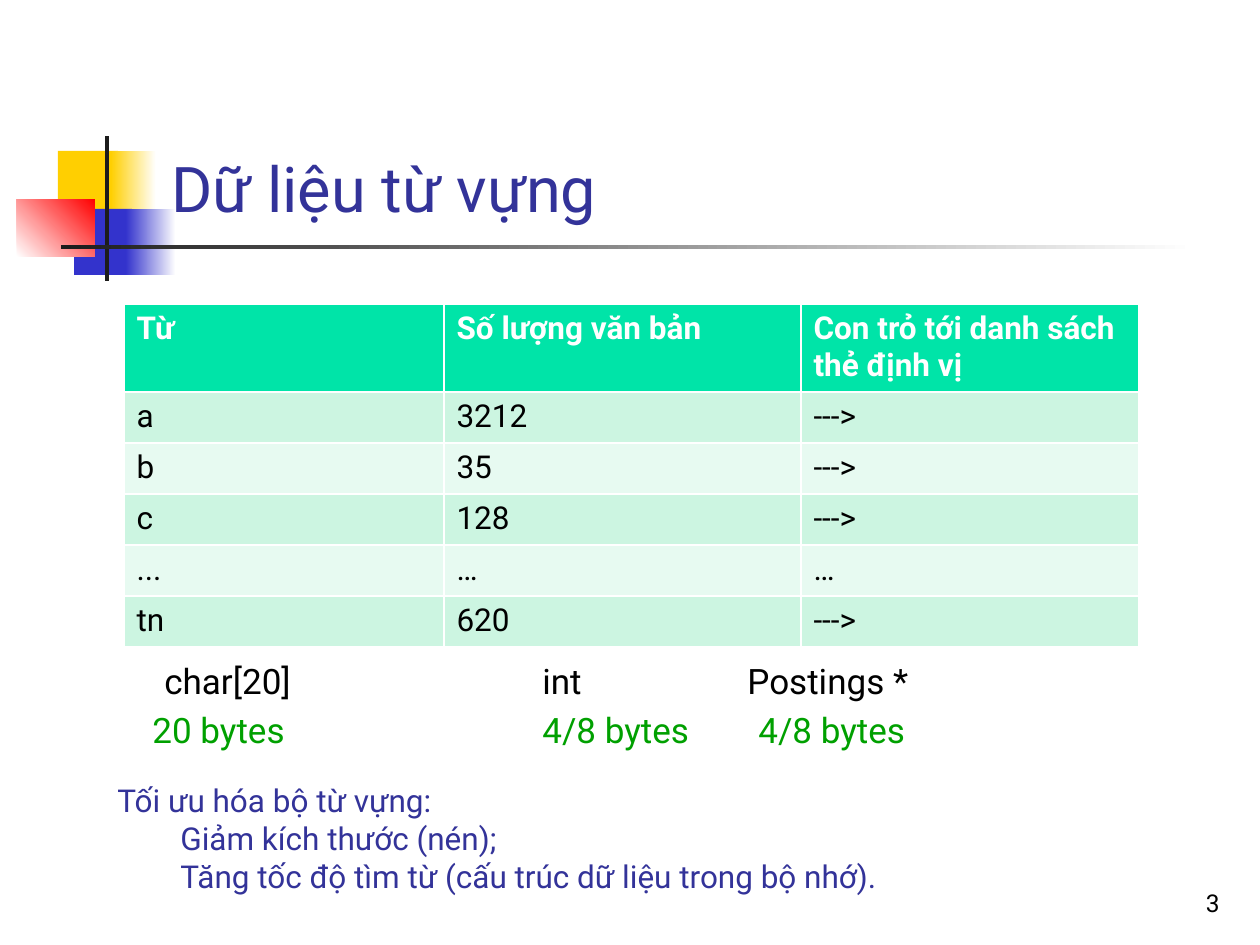
import pptx
import pptx.util
import pptx.dml.color
import pptx.enum.shapes
import pptx.enum.text
import lxml.etree

RGB = pptx.dml.color.RGBColor
WHITE = RGB(255, 255, 255)
BLACK = RGB(0, 0, 0)
GOLD = RGB(0xFF, 0xCF, 0x01)
BLUE = RGB(0x33, 0x33, 0xCC)
RED = RGB(255, 0, 0)
DARK = RGB(0x1C, 0x1C, 0x1C)
NAVY = RGB(0x33, 0x33, 0x99)
GREEN = RGB(0, 0xA0, 0)
HEAD = RGB(0, 0xE4, 0xA8)
BANDS = [RGB(0xE7, 0xFA, 0xF1), RGB(0xCC, 0xF5, 0xE1)]
TOP = pptx.enum.text.MSO_ANCHOR.TOP
LOW = pptx.enum.text.MSO_ANCHOR.BOTTOM
PIXEL = 914400 // 126


def scale(*nums):
    return [n * PIXEL for n in nums]


def write(para, text, size, color, bold=False):
    run = para.add_run()
    run.text = text
    form = {"name": "Roboto", "size": pptx.util.Pt(size), "bold": bold}
    for key, val in form.items():
        setattr(run.font, key, val)
    run.font.color.rgb = color


deck = pptx.Presentation()
deck.slide_width, deck.slide_height = scale(1260, 945)
slide = deck.slides.add_slide(deck.slide_layouts[6])

# Corner blocks and rule: box, first colour, last colour, angle
blocks = [
    ((58, 151, 60, 66), GOLD, None, 0),
    ((111, 151, 45, 66), GOLD, WHITE, 0),
    ((74, 209, 58, 66), BLUE, None, 0),
    ((126, 209, 50, 66), BLUE, WHITE, 0),
    ((17, 199, 78, 58), WHITE, RED, 45),
    ((105, 136, 4, 145), DARK, None, 0),
    ((61, 245, 1134, 4), DARK, WHITE, 0),
]
for box, first, last, angle in blocks:
    block = slide.shapes.add_shape(
        pptx.enum.shapes.MSO_SHAPE.RECTANGLE, *scale(*box))
    block.shadow.inherit = False
    block.line.fill.background()
    if last is None:
        block.fill.solid()
        block.fill.fore_color.rgb = first
    else:
        block.fill.gradient()
        block.fill.gradient_angle = angle
        for stop, color in zip(block.fill.gradient_stops, (first, last)):
            stop.color.rgb = color

# Table of terms
rows = [
    ("Từ", "Số lượng văn bản", "Con trỏ tới danh sách thẻ định vị"),
    ("a", "3212", "--->"),
    ("b", "35", "--->"),
    ("c", "128", "--->"),
    ("...", "…", "…"),
    ("tn", "620", "--->"),
]
wide = [320, 357, 338]
high = [88] + [51] * 5
table = slide.shapes.add_table(
    len(rows), len(wide), *scale(124, 304, sum(wide), sum(high))).table
for col, width in zip(table.columns, scale(*wide)):
    col.width = width
for r, (row, height) in enumerate(zip(rows, scale(*high))):
    table.rows[r].height = height
    for c, text in enumerate(row):
        cell = table.cell(r, c)
        cell.fill.solid()
        cell.fill.fore_color.rgb = BANDS[r % 2] if r else HEAD
        write(cell.text_frame.paragraphs[0], text, 18,
              BLACK if r else WHITE, r == 0)

# Text boxes: box, anchor, align, size, lines of (text, colour, tab stops)
left, right = pptx.enum.text.PP_ALIGN.LEFT, pptx.enum.text.PP_ALIGN.RIGHT
texts = [
    ((159, 29, 1074, 202), LOW, left, 36, [("Dữ liệu từ vựng", NAVY, [])]),
    ((105, 653, 1110, 110), TOP, left, 20, [
        ("\tchar[20]\tint\tPostings *", BLACK, [47, 425, 630]),
        ("\t20 bytes\t4/8 bytes\t4/8 bytes", GREEN, [35, 425, 641])]),
    ((970, 861, 262, 63), LOW, right, 14, [("3", BLACK, [])]),
    ((105, 775, 1111, 127), TOP, left, 18, [
        ("Tối ưu hóa bộ từ vựng:", NAVY, []),
        ("\tGiảm kích thước (nén);", NAVY, []),
        ("\tTăng tốc độ tìm từ (cấu trúc dữ liệu trong bộ nhớ).", NAVY, [])]),
]
for box, anchor, align, size, lines in texts:
    frame = slide.shapes.add_textbox(*scale(*box)).text_frame
    frame.word_wrap = True
    frame.vertical_anchor = anchor
    for n, (text, color, tabs) in enumerate(lines):
        para = frame.add_paragraph() if n else frame.paragraphs[0]
        para.alignment = align
        if tabs and n:
            para.space_before = pptx.util.Pt(4)
        write(para, text, size, color)
        if tabs:
            props = para._p.get_or_add_pPr()
            tag = "{http://schemas.openxmlformats.org/drawingml/2006/main}"
            stops = lxml.etree.SubElement(props, tag + "tabLst")
            for place in scale(*tabs):
                lxml.etree.SubElement(stops, tag + "tab", pos=str(place), algn="l")

deck.save("out.pptx")
